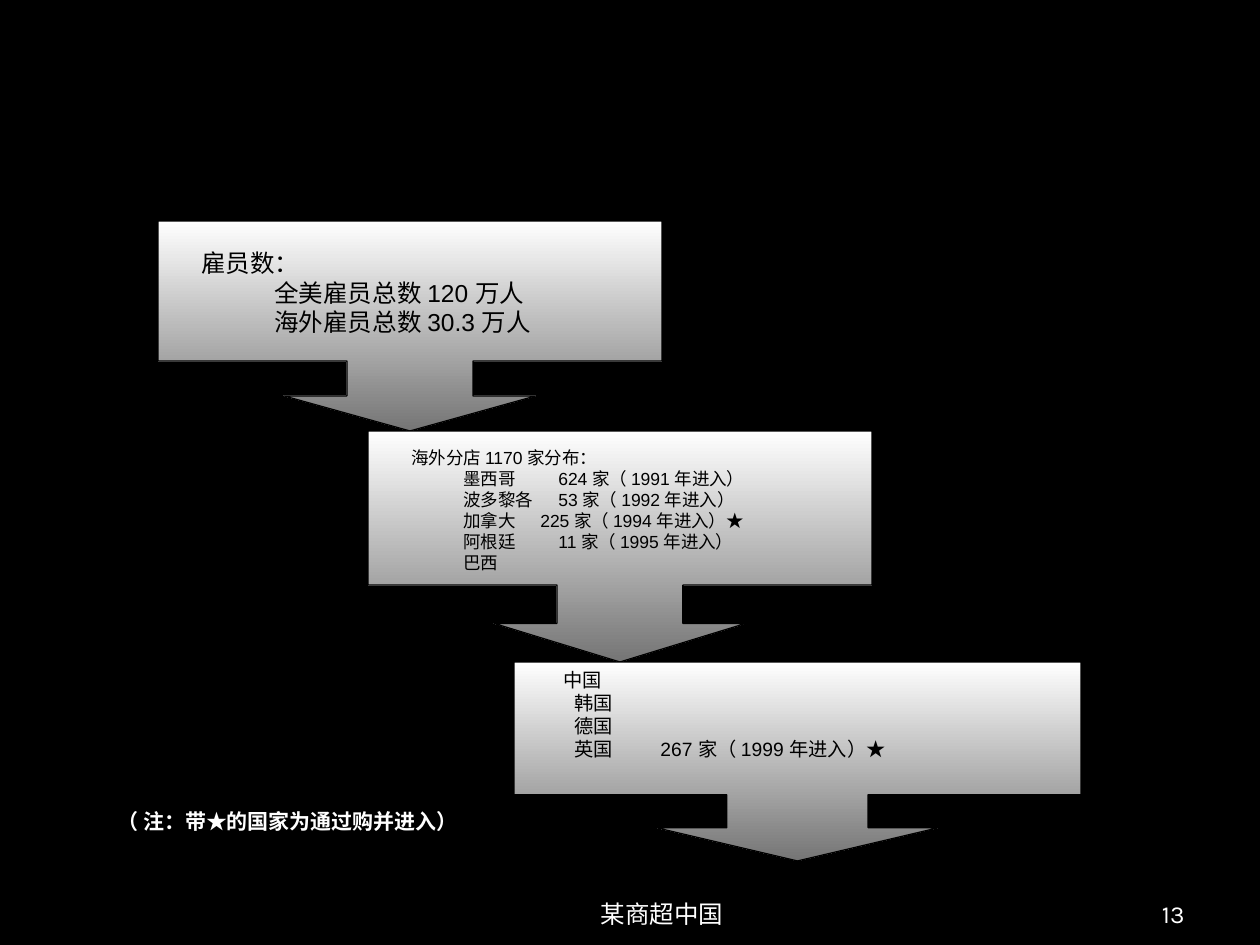
from dataclasses import dataclass

from lxml import etree
from pptx import Presentation
from pptx.dml.color import RGBColor
from pptx.enum.shapes import MSO_SHAPE
from pptx.enum.text import MSO_ANCHOR, MSO_AUTO_SIZE, PP_ALIGN
from pptx.oxml.ns import qn
from pptx.util import Emu, Pt

CALLOUT = MSO_SHAPE.DOWN_ARROW_CALLOUT
TOP, BOTTOM = MSO_ANCHOR.TOP, MSO_ANCHOR.BOTTOM
LEFT, CENTER, RIGHT = PP_ALIGN.LEFT, PP_ALIGN.CENTER, PP_ALIGN.RIGHT
GROW, FIXED = MSO_AUTO_SIZE.SHAPE_TO_FIT_TEXT, MSO_AUTO_SIZE.NONE


@dataclass(frozen=True)
class Theme:
    black: RGBColor = RGBColor(0x00, 0x00, 0x00)
    white: RGBColor = RGBColor(0xFF, 0xFF, 0xFF)
    gray: RGBColor = RGBColor(0x75, 0x75, 0x75)
    body_font: str = "Arial"
    footer_font: str = "Karla"
    large: int = 14
    note: int = 12
    medium: int = 11
    small: int = 10


THEME = Theme()

# Each row is its text and the tab stops, in px, that its tabs jump to.
STAFF_ROWS = [
    ("雇员数：", ()),
    ("\t全美雇员总数 120 万人", (73,)),
    ("\t海外雇员总数 30.3 万人", (73,)),
]
STORE_ROWS = [
    ("海外分店 1170 家分布：", ()),
    ("\t墨西哥\t624 家（ 1991 年进入）", (52, 147)),
    ("\t波多黎各\t53 家（ 1992 年进入）", (52, 147)),
    ("\t加拿大\t225 家（ 1994 年进入）★", (52, 129)),
    ("\t阿根廷\t11 家（ 1995 年进入）", (52, 147)),
    ("\t巴西", (52,)),
]
MORE_STORE_ROWS = [
    ("\t中国", (47,)),
    ("\t韩国", (58,)),
    ("\t德国", (58,)),
    ("\t英国\t267 家（ 1999 年进入）★", (58, 144)),
]


def px(length):
    return Emu(round(length * 914400 / 126))


def set_tab_stops(para, stops):
    if not stops:
        return
    tab_list = etree.SubElement(para._p.get_or_add_pPr(), qn("a:tabLst"))
    for stop in stops:
        etree.SubElement(tab_list, qn("a:tab"), pos=str(px(stop)), algn="l")


def add_text(page, box, rows, size, color, font=THEME.body_font, bold=False,
             align=LEFT, anchor=TOP, auto_size=GROW):
    frame = page.shapes.add_textbox(*map(px, box)).text_frame
    frame.word_wrap = True
    frame.auto_size = auto_size
    frame.vertical_anchor = anchor
    for index, (text, stops) in enumerate(rows):
        para = frame.add_paragraph() if index else frame.paragraphs[0]
        para.alignment = align
        set_tab_stops(para, stops)
        span = para.add_run()
        span.text = text
        span.font.name = font
        span.font.size = Pt(size)
        span.font.bold = bold
        span.font.color.rgb = color


def add_step(page, box, arrow_ratio, text_box, rows, size):
    """Draw a callout in box; text_box is relative to its top left corner."""
    left, top, _, _ = box
    callout = page.shapes.add_shape(CALLOUT, *map(px, box))
    callout.shadow.inherit = False
    for index, value in enumerate((arrow_ratio, arrow_ratio, 0.167, 0.667)):
        callout.adjustments[index] = value
    callout.fill.gradient()
    callout.fill.gradient_angle = 270
    for stop, color in zip(callout.fill.gradient_stops, (THEME.white, THEME.gray)):
        stop.color.rgb = color
    callout.line.color.rgb = THEME.black
    callout.line.width = Pt(0.75)
    inset_x, inset_y, width, height = text_box
    add_text(page, (left + inset_x, top + inset_y, width, height),
             rows, size, THEME.black)


def add_footer(page, box):
    left, top, _, height = box
    for offset, width, text, align in ((0, 400, "某商超中国", CENTER),
                                       (473, 262, "13", RIGHT)):
        add_text(page, (left + offset, top, width, height), [(text, ())],
                 THEME.large, THEME.white, THEME.footer_font,
                 align=align, anchor=BOTTOM, auto_size=FIXED)


def main():
    deck = Presentation()
    deck.slide_width, deck.slide_height = px(1260), px(945)
    page = deck.slides.add_slide(deck.slide_layouts[6])
    page.background.fill.solid()
    page.background.fill.fore_color.rgb = THEME.black

    add_step(page, (158, 221, 504, 210), 0.6,
             (31, 21, 441, 101), STAFF_ROWS, THEME.large)
    add_step(page, (368, 431, 504, 231), 0.545,
             (31, 10, 462, 139), STORE_ROWS, THEME.small)
    add_step(page, (514, 662, 567, 199), 0.71,
             (-10, 0, 525, 106), MORE_STORE_ROWS, THEME.medium)
    add_text(page, (84, 802, 400, 38),
             [("\t（ 注：带★的国家为通过购并进入）", (21,))],
             THEME.note, THEME.white, bold=True)
    add_footer(page, (462, 872, 735, 63))
    deck.save("out.pptx")


if __name__ == "__main__":
    main()
